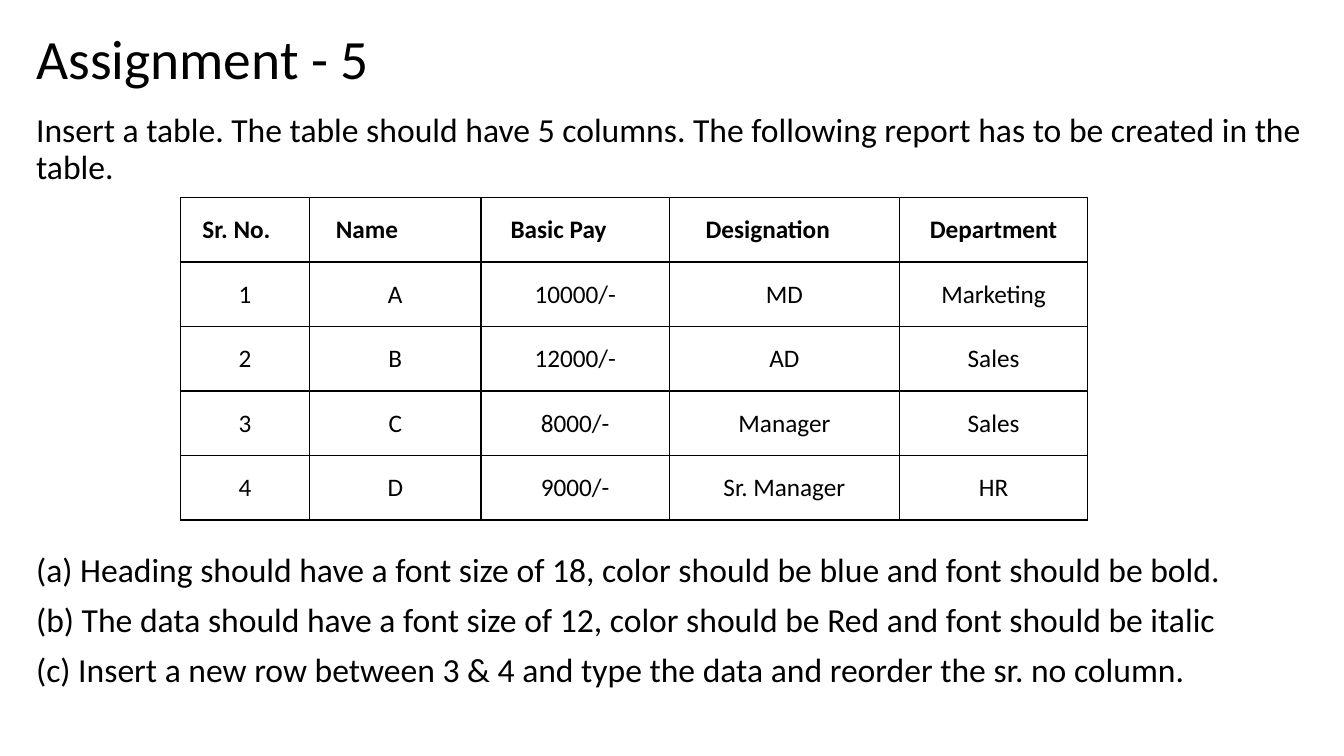
from dataclasses import dataclass

from lxml.etree import SubElement
from pptx import Presentation
from pptx.dml.color import RGBColor
from pptx.enum.text import MSO_ANCHOR, MSO_AUTO_SIZE, PP_ALIGN
from pptx.oxml.ns import qn
from pptx.util import Inches, Pt

# Content
TITLE = "Assignment - 5"
INTRO = ["Insert a table. The table should have 5 columns. "
         "The following report has to be created in the table."]
TASKS = [
    "(a) Heading should have a font size of 18, color should be blue and font should be bold.",
    "(b) The data should have a font size of 12, color should be Red and font should be italic",
    "(c) Insert a new row between 3 & 4 and type the data and reorder the sr. no column.",
]
REPORT = [
    ("Sr. No.", "Name", "Basic Pay", "Designation", "Department"),
    ("1", "A", "10000/-", "MD", "Marketing"),
    ("2", "B", "12000/-", "AD", "Sales"),
    ("3", "C", "8000/-", "Manager", "Sales"),
    ("4", "D", "9000/-", "Sr. Manager", "HR"),
]
COL_WIDTHS = (1.28, 1.7, 1.87, 2.28, 1.87)
HEADER_INSETS = (0.18, 0.57, 0.34, 0.34, 0.01)  # right insets shift the headings left
ROW_HEIGHT = 0.64
LEFT, WIDTH = 0.26, 12.88


@dataclass(frozen=True)
class Theme:
    font: str = "Calibri"
    ink: str = "000000"
    title: float = 39.6
    body: float = 24
    cell: float = 18
    border: float = 1


THEME = Theme()


def write(p, text, *, size, bold=False, align=PP_ALIGN.LEFT, line=1.0, before=0):
    p.alignment = align
    p.line_spacing = line
    p.space_before = Pt(before)
    r = p.add_run()
    r.text = text
    r.font.name = THEME.font
    r.font.size = Pt(size)
    r.font.bold = bold
    r.font.color.rgb = RGBColor.from_string(THEME.ink)


def add_body(slide, lines, top, height):
    sp = slide.shapes.add_textbox(Inches(LEFT), Inches(top), Inches(WIDTH), Inches(height))
    tf = sp.text_frame
    tf.word_wrap = True
    for i, text in enumerate(lines):
        p = tf.add_paragraph() if i else tf.paragraphs[0]
        write(p, text, size=THEME.body, line=0.9, before=10 if i else 0)


def add_borders(cell):
    tc_pr = cell._tc.get_or_add_tcPr()
    for i, side in enumerate(("lnL", "lnR", "lnT", "lnB")):
        ln = SubElement(tc_pr, qn(f"a:{side}"), w=str(Pt(THEME.border)))
        fill = SubElement(ln, qn("a:solidFill"))
        SubElement(fill, qn("a:srgbClr"), val=THEME.ink)
        tc_pr.insert(i, ln)


def add_report(slide):
    rows, cols = len(REPORT), len(COL_WIDTHS)
    table = slide.shapes.add_table(
        rows, cols, Inches(1.79), Inches(1.96),
        Inches(sum(COL_WIDTHS)), Inches(rows * ROW_HEIGHT)).table
    table.first_row = table.horz_banding = False
    for column, width in zip(table.columns, COL_WIDTHS):
        column.width = Inches(width)
    for i, values in enumerate(REPORT):
        table.rows[i].height = Inches(ROW_HEIGHT)
        for j, text in enumerate(values):
            cell = table.cell(i, j)
            cell.fill.background()
            cell.vertical_anchor = MSO_ANCHOR.MIDDLE
            cell.margin_left = cell.margin_top = Inches(0.01)
            cell.margin_right = Inches(0.01 if i else HEADER_INSETS[j])
            cell.margin_bottom = 0
            write(cell.text_frame.paragraphs[0], text, size=THEME.cell,
                  bold=i == 0, align=PP_ALIGN.CENTER)
            add_borders(cell)


def main():
    prs = Presentation()
    prs.slide_width, prs.slide_height = Inches(13.33), Inches(7.5)
    slide = prs.slides.add_slide(prs.slide_layouts[5])

    # Title
    sp = slide.shapes.title
    sp.left, sp.top, sp.width, sp.height = map(Inches, (LEFT, 0.33, WIDTH, 0.56))
    tf = sp.text_frame
    tf.auto_size = MSO_AUTO_SIZE.NONE
    tf.vertical_anchor = MSO_ANCHOR.MIDDLE
    write(tf.paragraphs[0], TITLE, size=THEME.title, line=0.9)

    # Introduction, report table and tasks
    add_body(slide, INTRO, 1.08, 0.84)
    add_report(slide)
    add_body(slide, TASKS, 5.44, 1.86)

    prs.save("out.pptx")


if __name__ == "__main__":
    main()
